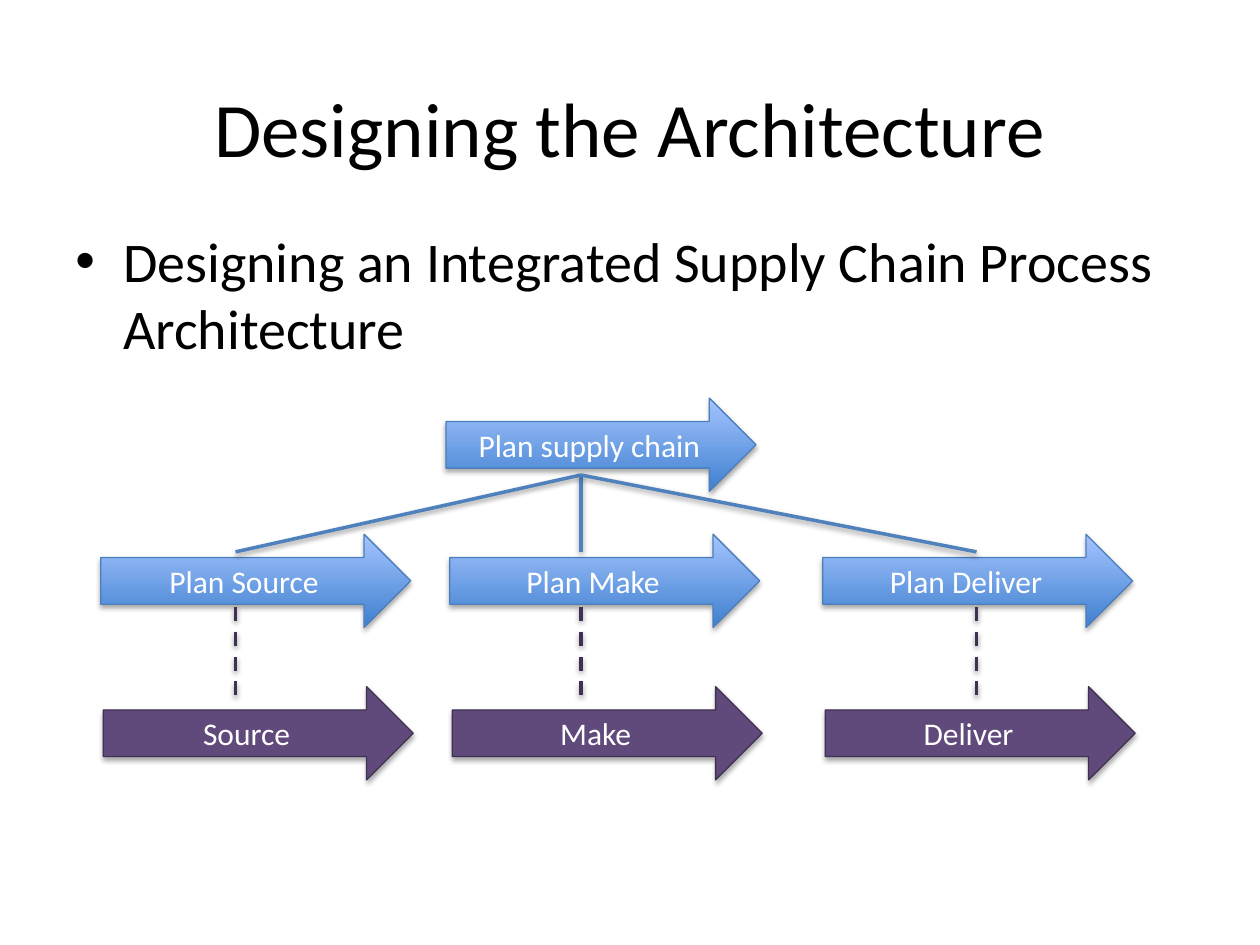
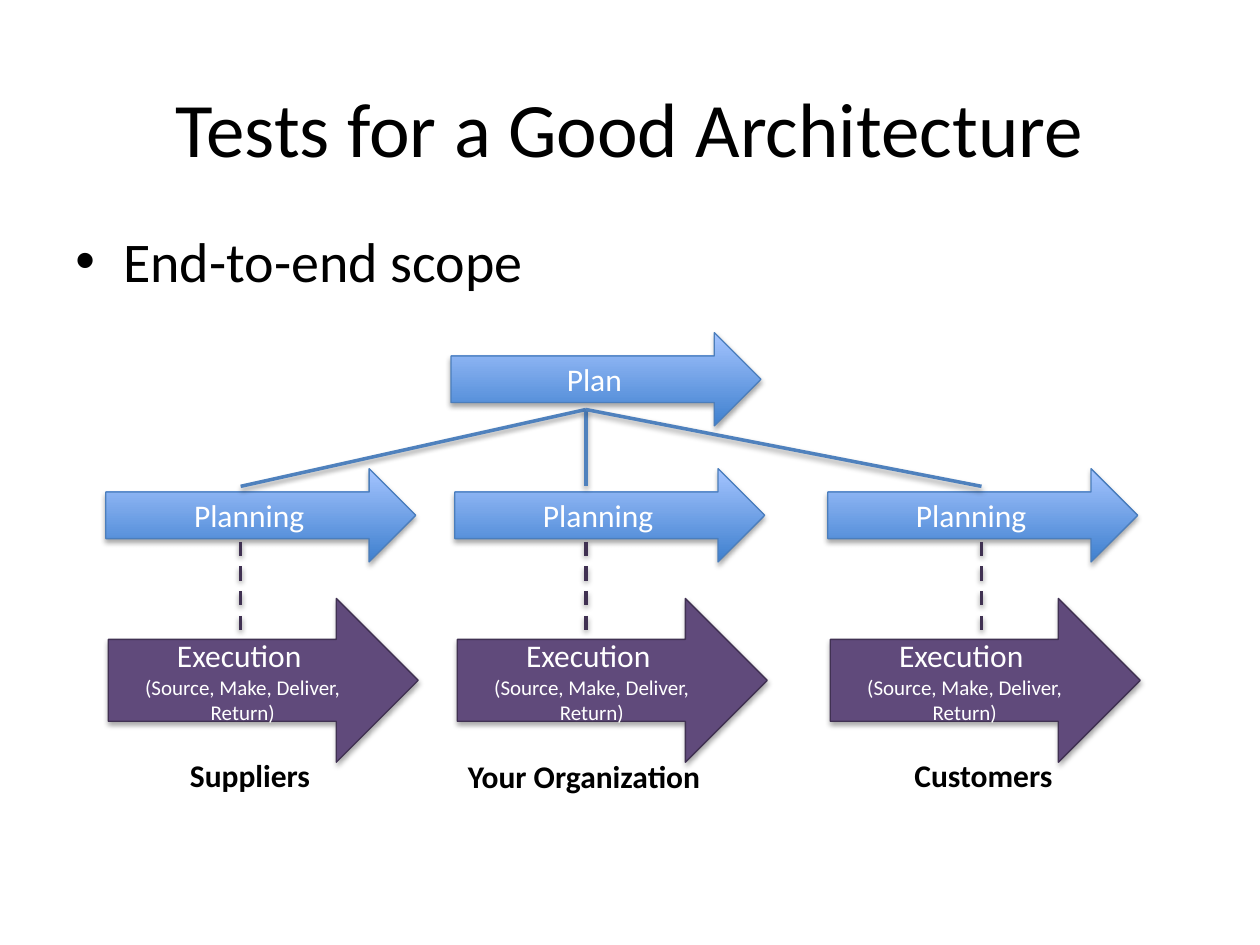
from dataclasses import dataclass
from lxml.etree import SubElement
from pptx import Presentation
from pptx.dml.color import RGBColor
from pptx.enum.dml import MSO_LINE_DASH_STYLE as Dash
from pptx.enum.shapes import MSO_CONNECTOR_TYPE as Connector, MSO_SHAPE as Shape
from pptx.enum.text import MSO_ANCHOR as Anchor, PP_ALIGN as Align
from pptx.oxml.ns import qn
from pptx.util import Inches, Pt


@dataclass(frozen=True)
class Theme:
    font: str = "Calibri"
    text: str = "000000"
    light_text: str = "FFFFFF"
    plan_bottom: str = "3F80CE"
    plan_top: str = "A4C4FF"
    plan_line: str = "4B7EBC"
    branch: str = "4F81BD"
    work: str = "604A7B"
    work_line: str = "403152"
    title_size: int = 44
    body_size: int = 32
    label_size: int = 18
    detail_size: int = 12


theme = Theme()

EXECUTION = ["Execution ", "(Source, Make, Deliver, Return)"]
SLIDES = [
    {
        "title": "Designing the Architecture",
        "bullet": "Designing an Integrated Supply Chain Process Architecture",
        "body_width": 9,
        "origin": (0.8, 3.16),
        "root": "Plan supply chain",
        "plans": ["Plan Source", "Plan Make", "Plan Deliver"],
        "works": [["Source"], ["Make"], ["Deliver"]],
        "work_offset": 2.29,
        "work_height": 0.74,
        "captions": [],
    },
    {
        "title": "Tests for a Good Architecture",
        "bullet": "End-to-end scope",
        "body_width": 9.2,
        "origin": (0.84, 2.64),
        "root": "Plan",
        "plans": ["Planning"] * 3,
        "works": [EXECUTION] * 3,
        "work_offset": 2.11,
        "work_height": 1.3,
        "captions": [("Suppliers", 0.86, 5.95), ("Your Organization", 3.51, 5.96),
                     ("Customers", 6.68, 5.95)],
    },
]

ROOT_OFFSET = 2.74
COLUMNS = [0, 2.77, 5.73]
JOINTS = [1.07, 3.81, 6.95]
ARROW_WIDTH, ARROW_HEIGHT = 2.46, 0.74
PLAN_OFFSET = 1.08
BRANCH_START, BRANCH_END = 0.61, 1.22
DASH_START, DASH_END = 1.66, 2.43


def color(value):
    return RGBColor.from_string(value)


def add_shadow(shape, alpha, distance):
    properties = shape._element.spPr
    for effects in properties.findall(qn("a:effectLst")):
        properties.remove(effects)
    effects = SubElement(properties, qn("a:effectLst"))
    shadow = SubElement(effects, qn("a:outerShdw"), blurRad=str(Pt(3.1)),
                        dist=str(Pt(distance)), dir="5400000", rotWithShape="0")
    shade = SubElement(shadow, qn("a:srgbClr"), val="000000")
    SubElement(shade, qn("a:alpha"), val=str(alpha * 1000))


def write(shape, lines, sizes, ink, align=Align.CENTER, anchor=Anchor.MIDDLE, bold=False):
    frame = shape.text_frame
    frame.word_wrap = True
    frame.vertical_anchor = anchor
    frame.text = "\n".join(lines)
    for paragraph, size in zip(frame.paragraphs, sizes):
        paragraph.alignment = align
        paragraph.font.name = theme.font
        paragraph.font.size = Pt(size)
        paragraph.font.bold = bold
        paragraph.font.color.rgb = color(ink)


def add_text(slide, box, text, size, **options):
    shape = slide.shapes.add_textbox(*map(Inches, box))
    write(shape, [text], [size], theme.text, **options)
    return shape


def add_bullet(paragraph):
    properties = paragraph._p.get_or_add_pPr()
    properties.set("marL", str(Inches(0.38)))
    properties.set("indent", str(Inches(-0.38)))
    spacing = SubElement(properties, qn("a:spcBef"))
    SubElement(spacing, qn("a:spcPct"), val="20000")
    SubElement(properties, qn("a:buFont"), typeface="Arial")
    SubElement(properties, qn("a:buChar"), char="•")
    defaults = properties.find(qn("a:defRPr"))
    if defaults is not None:
        properties.append(defaults)


def add_arrow(slide, left, top, lines, height=ARROW_HEIGHT, plan=True):
    shape = slide.shapes.add_shape(
        Shape.RIGHT_ARROW, *map(Inches, (left, top, ARROW_WIDTH, height)))
    if plan:
        shape.fill.gradient()
        shape.fill.gradient_angle = 90
        for stop, value in zip(shape.fill.gradient_stops, (theme.plan_bottom, theme.plan_top)):
            stop.color.rgb = color(value)
    else:
        shape.fill.solid()
        shape.fill.fore_color.rgb = color(theme.work)
    shape.line.color.rgb = color(theme.plan_line if plan else theme.work_line)
    shape.line.width = Pt(0.75)
    add_shadow(shape, 35, 1.8)
    write(shape, lines, (theme.label_size, theme.detail_size), theme.light_text)


def add_line(slide, start, end, value, dash=None):
    line = slide.shapes.add_connector(Connector.STRAIGHT, *map(Inches, (*start, *end)))
    line.line.color.rgb = color(value)
    line.line.width = Pt(2)
    if dash:
        line.line.dash_style = dash
    add_shadow(line, 38, 1.6)


def build_slide(presentation, content):
    slide = presentation.slides.add_slide(presentation.slide_layouts[6])
    add_text(slide, (0.5, 0.38, 9, 1.25), content["title"], theme.title_size)
    body = add_text(slide, (0.5, 1.75, content["body_width"], 4.95), content["bullet"],
                    theme.body_size, align=Align.LEFT, anchor=Anchor.TOP)
    add_bullet(body.text_frame.paragraphs[0])

    left, top = content["origin"]
    add_arrow(slide, left + ROOT_OFFSET, top, [content["root"]])
    for column, label in zip(COLUMNS, content["plans"]):
        add_arrow(slide, left + column, top + PLAN_OFFSET, [label])
    for column, lines in zip(COLUMNS, content["works"]):
        add_arrow(slide, left + column + 0.02, top + content["work_offset"], lines,
                  content["work_height"], plan=False)

    joints = [left + joint for joint in JOINTS]
    for joint in joints:
        add_line(slide, (joints[1], top + BRANCH_START), (joint, top + BRANCH_END), theme.branch)
    for joint in joints:
        add_line(slide, (joint, top + DASH_START), (joint, top + DASH_END),
                 theme.work_line, Dash.DASH)
    for text, caption_left, caption_top in content["captions"]:
        add_text(slide, (caption_left, caption_top, 2.25, 0.4), text, theme.label_size,
                 anchor=Anchor.TOP, bold=True)


presentation = Presentation()
presentation.slide_width, presentation.slide_height = Inches(10), Inches(7.5)
for content in SLIDES:
    build_slide(presentation, content)
presentation.save("out.pptx")
